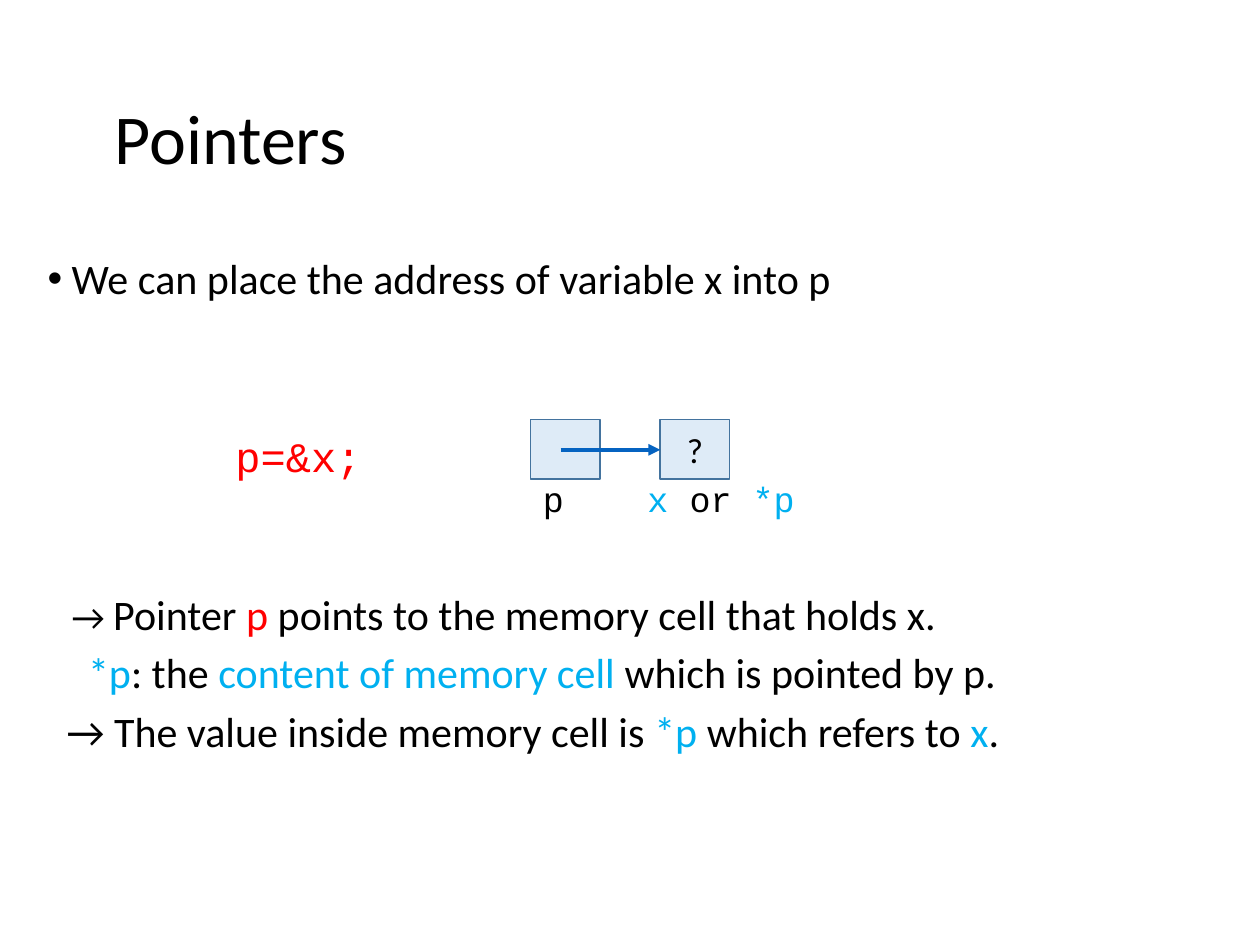
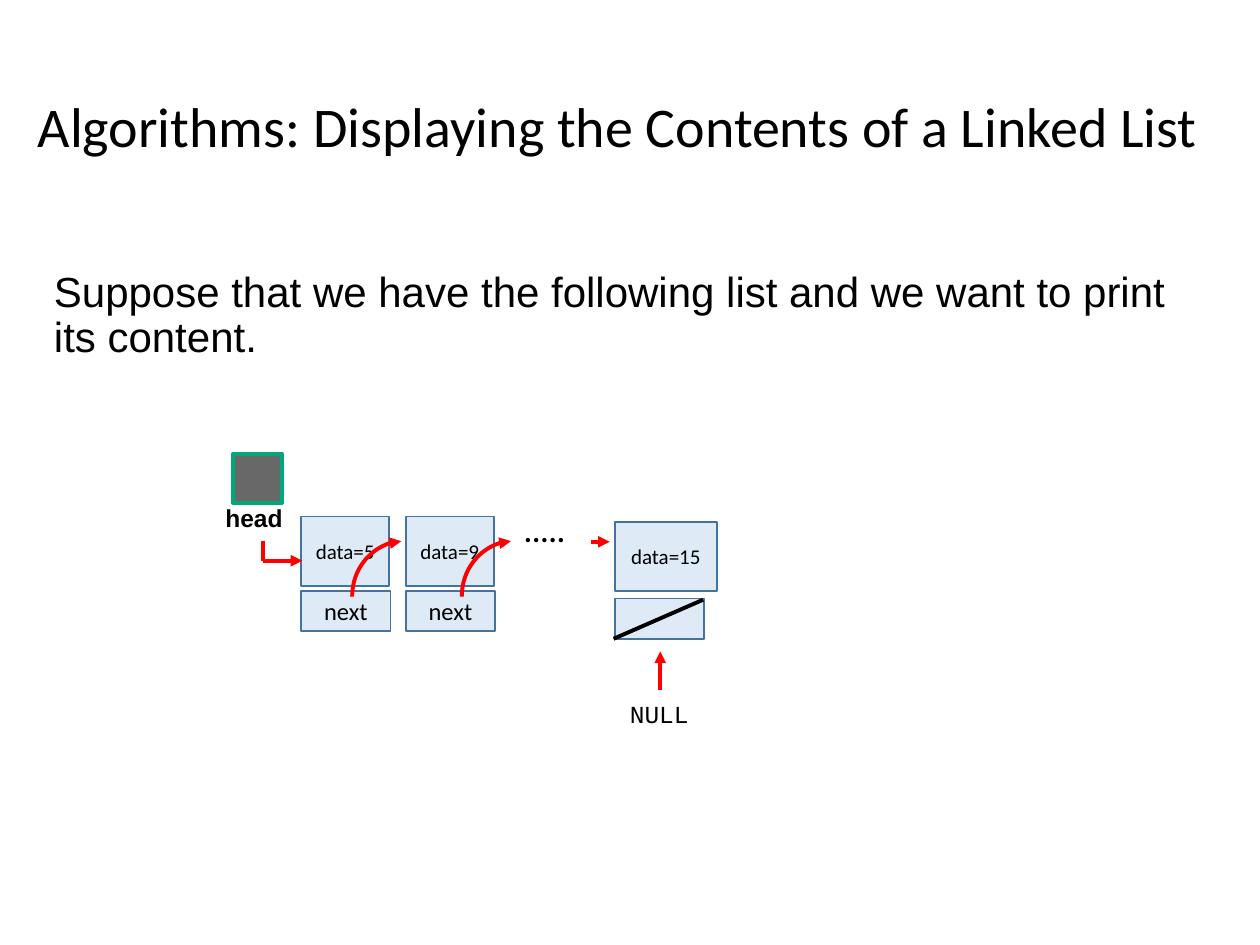
"""Build two slides on pointers and linked lists."""
from lxml.etree import SubElement as sub
from pptx import Presentation
from pptx.dml.color import RGBColor as RGB
from pptx.enum.shapes import MSO_CONNECTOR as Conn, MSO_SHAPE as Form
from pptx.enum.text import MSO_ANCHOR as Anchor, MSO_AUTO_SIZE as Fit, PP_ALIGN as Align
from pptx.oxml.ns import qn
from pptx.util import Inches, Pt

HUES = {"ink": "000000", "red": "FF0000", "sky": "00B0F0", "link": "0563C1",
        "cell": "DEEBF7", "edge": "43739E", "gray": "686868", "green": "00A77A"}


def write(para, runs, size, font="Calibri"):
    """Add (text, hue) runs to a paragraph in one font and size."""
    for text, hue in runs:
        run = para.add_run()
        run.text = text
        run.font.name = font
        run.font.size = Pt(size)
        run.font.color.rgb = RGB.from_string(HUES[hue])


def join(slide, ends, hue, arrow=True, curve=False):
    """Draw a line, with an arrowhead at its end if wanted."""
    kind = Conn.CURVE if curve else Conn.STRAIGHT
    line = slide.shapes.add_connector(kind, *map(Inches, ends))
    line.line.color.rgb = RGB.from_string(HUES[hue])
    line.line.width = Pt(2.25)
    props = line._element.spPr
    if arrow:
        sub(line.line._get_or_add_ln(), qn("a:tailEnd"), type="triangle")
    if curve:
        props.find(qn("a:xfrm")).set("rot", str(270 * 60000))
        props.find(qn("a:prstGeom")).set("prst", "curvedConnector2")
    sub(props, qn("a:effectLst"))


deck = Presentation()
deck.slide_width, deck.slide_height = Inches(10), Inches(7.5)

heads = [
    ("Pointers", 40, (0.81, 0.4, 8.5, 1.45)),
    ("Algorithms: Displaying the Contents of a Linked List", 32, (0.2, 0.23, 9.8, 1.6)),
]
for text, size, area in heads:
    slide = deck.slides.add_slide(deck.slide_layouts[5])
    title = slide.shapes.title
    title.left, title.top, title.width, title.height = map(Inches, area)
    frame = title.text_frame
    frame.auto_size = Fit.NONE
    frame.vertical_anchor = Anchor.MIDDLE
    para = frame.paragraphs[0]
    para.alignment = Align.LEFT
    para.line_spacing = 0.9
    write(para, [(text, "ink")], size)
point, chain = deck.slides

body = point.shapes.add_textbox(*map(Inches, (0.28, 2, 8.82, 4.76))).text_frame
body.word_wrap = True
lines = [
    (0.19, 7.5, [("We can place the address of variable x into p", "ink")]),
    (0.19, 166, [("Pointer ", "ink"), ("p ", "red"),
                 ("points to the memory cell that holds x.", "ink")]),
    (0.32, 7.5, [("*p", "sky"), (": the ", "ink"), ("content of memory cell ", "sky"),
                 ("which is pointed by p.", "ink")]),
    (0.15, 7.5, [("→ The value inside memory cell is ", "ink"), ("*p", "sky"),
                 (" which refers to ", "ink"), ("x", "sky"), (".", "ink")]),
]
for i, (left, gap, runs) in enumerate(lines):
    para = body.add_paragraph() if i else body.paragraphs[0]
    para.line_spacing = 0.9
    para.space_before = Pt(gap)
    props = para._p.get_or_add_pPr()
    props.set("marL", str(Inches(left)))
    if i == 0:
        props.set("indent", str(-Inches(left)))
        sub(props, qn("a:buFont"), typeface="Arial")
        sub(props, qn("a:buChar"), char="•")
    if i == 1:
        write(para, [("→ ", "ink")], 21)
    write(para, runs, 24)

cells = [
    (point, (4.21, 3.33, 0.55, 0.47), "", 20),
    (point, (5.24, 3.33, 0.55, 0.47), "?", 20),
    (chain, (4.88, 4.14, 0.81, 0.55), "data=15", 12),
    (chain, (4.88, 4.75, 0.71, 0.32), "", 14),
    (chain, (1.85, 3.6, 0.39, 0.39), "", 14),
]
for left, value in ((2.39, 5), (3.22, 9)):
    cells += [(chain, (left, 4.1, 0.7, 0.55), f"data={value}", 12),
              (chain, (left, 4.69, 0.71, 0.32), "next", 14)]
for slide, area, text, size in cells:
    cell = slide.shapes.add_shape(Form.RECTANGLE, *map(Inches, area))
    cell.shadow.inherit = False
    cell.fill.solid()
    cell.fill.fore_color.rgb = RGB.from_string(HUES["cell"])
    cell.line.color.rgb = RGB.from_string(HUES["edge"])
    cell.line.width = Pt(1)
    if text:
        frame = cell.text_frame
        frame.vertical_anchor = Anchor.MIDDLE
        frame.paragraphs[0].alignment = Align.CENTER
        write(frame.paragraphs[0], [(text, "ink")], size)
    if area[0] == 1.85:
        cell.fill.fore_color.rgb = RGB.from_string(HUES["gray"])
        cell.line.color.rgb = RGB.from_string(HUES["green"])
        cell.line.width = Pt(2.25)

tags = [
    (point, (4.21, 3.74, 0.5, 0.43), [("p", "ink")], 20, "Courier New"),
    (point, (5.04, 3.74, 1.69, 0.43), [("x ", "sky"), ("or ", "ink"), ("*p", "sky")],
     20, "Courier New"),
    (point, (1.77, 3.37, 1.5, 0.51), [("p=&x;", "red")], 24, "Courier New"),
    (chain, (0.33, 2.1, 9.33, 1.1),
     [("Suppose that we have the following list and we want to print its content.", "ink")],
     24, "Arial"),
    (chain, (1.69, 3.94, 0.79, 0.33), [("head", "ink")], 14, "Arial"),
    (chain, (4.9, 5.5, 0.79, 0.33), [("NULL", "ink")], 14, "Courier New"),
    (chain, (4.06, 3.98, 0.79, 0.43), [(".....", "ink")], 20, "Lato"),
]
for slide, area, runs, size, font in tags:
    frame = slide.shapes.add_textbox(*map(Inches, area)).text_frame
    frame.word_wrap = True
    para = frame.paragraphs[0]
    write(para, runs, size, font)
    if runs[0][0] == "head":
        para.runs[0].font.bold = True
    if size == 24 and font == "Arial":
        para.line_spacing = 0.9

join(point, (4.45, 3.57, 5.24, 3.57), "link")
join(chain, (2.09, 4.29, 2.09, 4.45), "red", arrow=False)
for ends in ((2.09, 4.45, 2.4, 4.45), (5.24, 5.48, 5.24, 5.17), (4.69, 4.3, 4.84, 4.3)):
    join(chain, ends, "red")
for left in (2.77, 3.64):
    join(chain, (left, 4.32, left + 0.44, 4.71), "red", curve=True)
join(chain, (4.87, 5.07, 5.58, 4.76), "ink", arrow=False)

deck.save("out.pptx")
